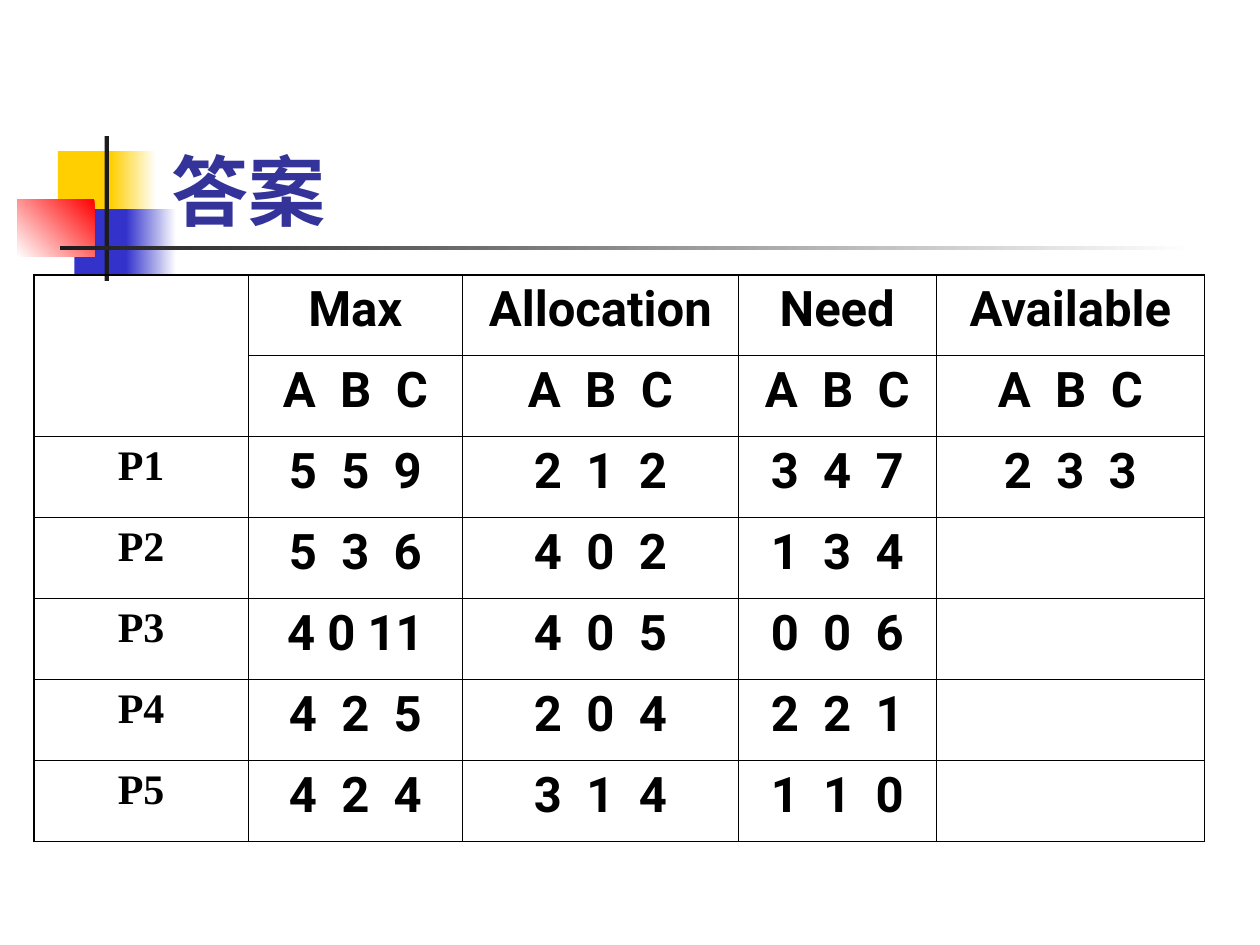
from dataclasses import dataclass

from lxml.etree import SubElement
from pptx import Presentation
from pptx.dml.color import RGBColor
from pptx.enum.shapes import MSO_SHAPE
from pptx.enum.text import MSO_ANCHOR, PP_ALIGN
from pptx.oxml.ns import qn
from pptx.util import Inches, Pt


@dataclass(frozen=True)
class Theme:
    yellow: str = "FFCF01"
    blue: str = "3333CC"
    red: str = "FF0000"
    dark: str = "1C1C1C"
    white: str = "FFFFFF"
    title: str = "333399"
    ink: str = "000000"
    sans: str = "Roboto"
    serif: str = "Times New Roman"
    title_size: int = 44
    body_size: int = 28
    label_size: int = 24
    outer_line: float = 1.08
    inner_line: float = 0.45


theme = Theme()
presentation = Presentation()
presentation.slide_width = Inches(10)
presentation.slide_height = Inches(7.5)
slide = presentation.slides.add_slide(presentation.slide_layouts[6])


def place(left, top, width, height):
    """Turn percentages of the slide's width and height into lengths."""
    slide_width, slide_height = presentation.slide_width, presentation.slide_height
    return [round(share * side / 100) for share, side in
            zip((left, top, width, height), (slide_width, slide_height) * 2)]


def style_text(paragraph, font_name, size, color):
    for run in paragraph.runs:
        run.font.name = font_name
        run.font.size = Pt(size)
        run.font.bold = True
        run.font.color.rgb = RGBColor.from_string(color)


# Emblem: solid blocks have one colour, fading blocks two and an angle
emblem = [
    ((4.6, 16, 4.8, 6.93), [theme.yellow], None),
    ((8.8, 16, 3.6, 6.93), [theme.white, theme.yellow], 180),
    ((5.9, 22.13, 4.6, 6.93), [theme.blue], None),
    ((10, 22.13, 4, 6.93), [theme.white, theme.blue], 180),
    ((1.4, 21.07, 6.1, 6.13), [theme.red, theme.white], 225),
    ((8.3, 14.4, 0.35, 15.33), [theme.dark], None),
    ((4.8, 26, 90, 0.45), [theme.white, theme.dark], 180),
]
for box, colors, angle in emblem:
    block = slide.shapes.add_shape(MSO_SHAPE.RECTANGLE, *place(*box))
    block.shadow.inherit = False
    block.line.fill.background()
    if angle is None:
        block.fill.solid()
        block.fill.fore_color.rgb = RGBColor.from_string(colors[0])
    else:
        block.fill.gradient()
        block.fill.gradient_angle = angle
        for stop, color in zip(block.fill.gradient_stops, colors):
            stop.color.rgb = RGBColor.from_string(color)

# Title
title = slide.shapes.add_textbox(*place(12.6, 8.93, 85.2, 16.67))
title.text_frame.word_wrap = True
title.text_frame.vertical_anchor = MSO_ANCHOR.BOTTOM
title.text_frame.text = "答案"
style_text(title.text_frame.paragraphs[0], theme.sans, theme.title_size, theme.title)

# Resource table
abc = "A  B  C"
rows = [
    ["", "Max", "Allocation", "Need", "Available"],
    ["", abc, abc, abc, abc],
    ["P1", "5  5  9", "2  1  2", "3  4  7", "2  3  3"],
    ["P2", "5  3  6", "4  0  2", "1  3  4", ""],
    ["P3", "4 0 11", "4  0  5", "0  0  6", ""],
    ["P4", "4  2  5", "2  0  4", "2  2  1", ""],
    ["P5", "4  2  4", "3  1  4", "1  1  0", ""],
]
column_shares = [17, 17, 21.9, 15.7, 21.3]
last_row, last_column = len(rows) - 1, len(column_shares) - 1

table = slide.shapes.add_table(len(rows), len(column_shares),
                               *place(2.7, 29.07, sum(column_shares), 60)).table
table.first_row = False
table.horz_banding = False
for column, share in zip(table.columns, column_shares):
    column.width = round(presentation.slide_width * share / 100)

for row_index, row in enumerate(rows):
    for column_index, text in enumerate(row):
        cell = table.cell(row_index, column_index)
        cell.text_frame.text = text
        paragraph = cell.text_frame.paragraphs[0]
        paragraph.alignment = PP_ALIGN.CENTER
        if column_index == 0:
            style_text(paragraph, theme.serif, theme.label_size, theme.ink)
        else:
            style_text(paragraph, theme.sans, theme.body_size, theme.ink)

        is_outer = {
            "lnL": column_index == 0,
            "lnR": column_index == last_column,
            "lnT": row_index == 0,
            "lnB": row_index == last_row,
        }
        properties = cell._tc.get_or_add_tcPr()
        for side, outer in is_outer.items():
            width = theme.outer_line if outer else theme.inner_line
            border = SubElement(properties, qn(f"a:{side}"), w=str(Pt(width)))
            fill = SubElement(border, qn("a:solidFill"))
            SubElement(fill, qn("a:srgbClr"), val=theme.ink)
        cell.fill.background()

table.cell(0, 0).merge(table.cell(1, 0))

presentation.save("out.pptx")
